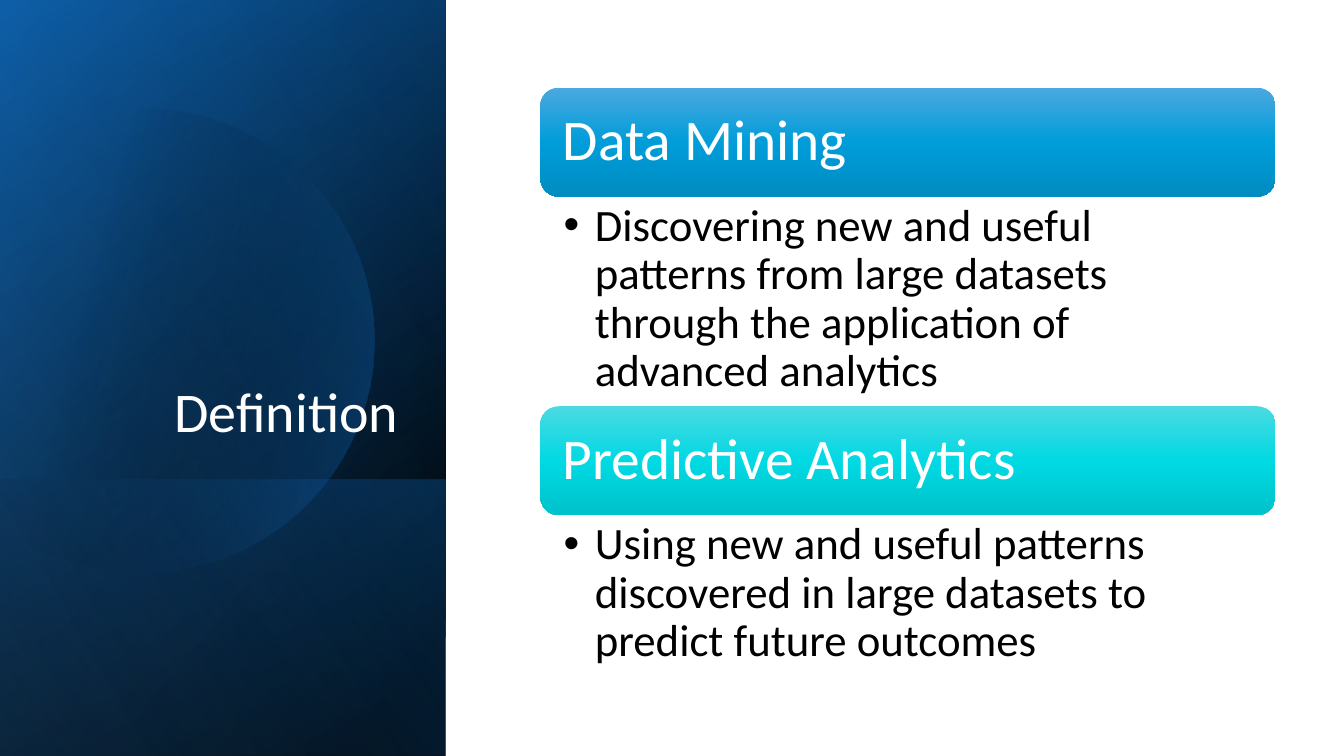
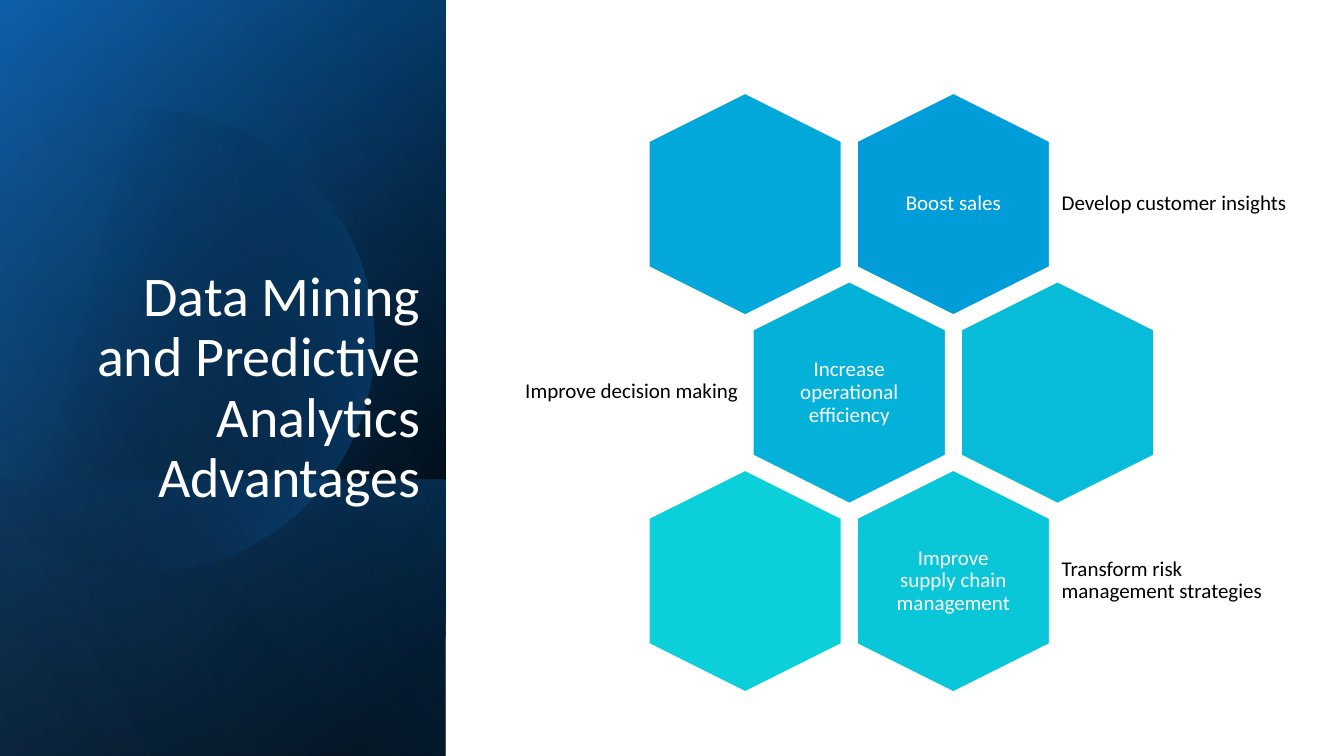
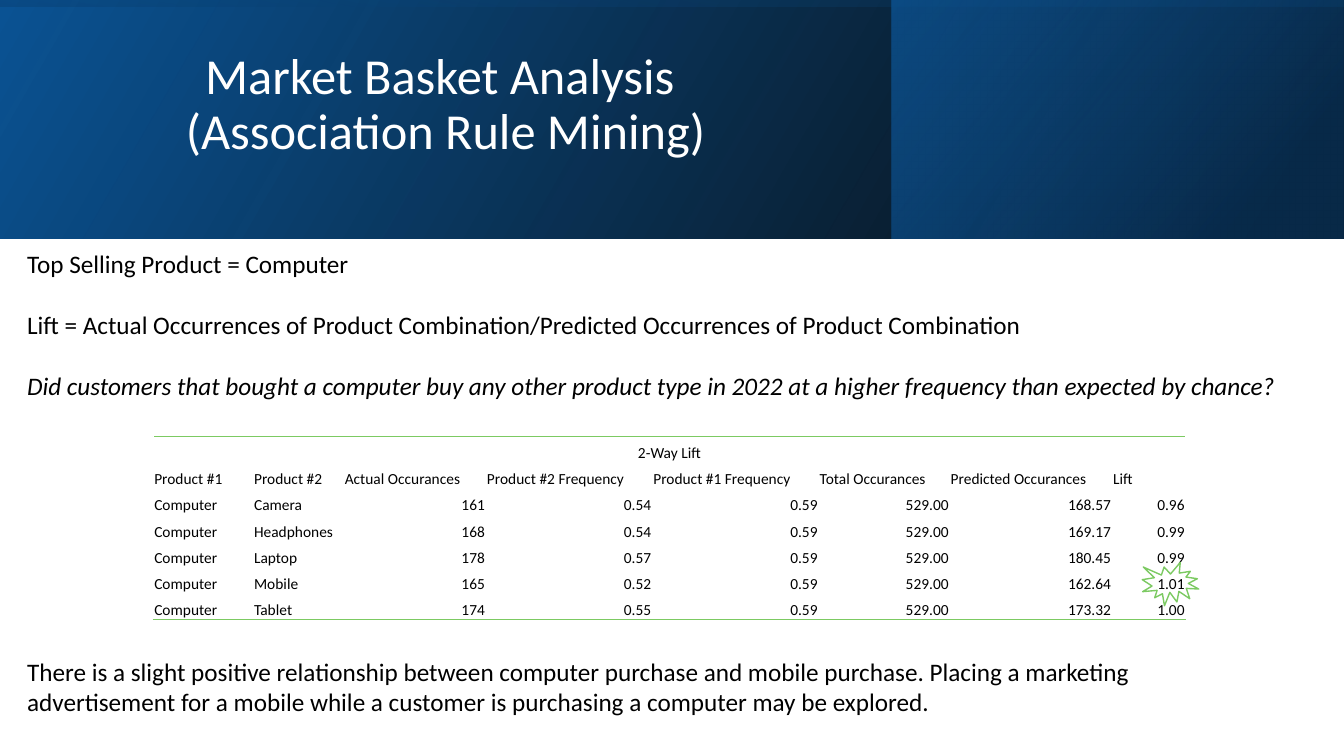
from math import cos, radians, sin

from lxml import etree
from pptx import Presentation
from pptx import util as u
from pptx.dml.color import RGBColor
from pptx.enum import shapes, text
from pptx.oxml.ns import qn

KIND = shapes.MSO_SHAPE
ALIGN = {"l": text.PP_ALIGN.LEFT, "c": text.PP_ALIGN.CENTER, "r": text.PP_ALIGN.RIGHT}
ANCHOR = {"t": text.MSO_ANCHOR.TOP, "m": text.MSO_ANCHOR.MIDDLE,
          "b": text.MSO_ANCHOR.BOTTOM}
INSET = (0.1, 0.05, 0.1, 0.05)


def color(code):
    return RGBColor.from_string(code)


def box(vals):
    return [u.Inches(v) for v in vals]


def child(parent, tag, **attrs):
    return etree.SubElement(parent, qn(tag), {k: str(v) for k, v in attrs.items()})


def shade(shape, stops, angle):
    """Fill with a linear gradient of (percent, colour, opacity percent) stops."""
    shape.fill.gradient()
    grad = shape.element.spPr.find(qn("a:gradFill"))
    for old in list(grad):
        grad.remove(old)
    grad.set("rotWithShape", "1")
    group = child(grad, "a:gsLst")
    for pos, code, *alpha in stops:
        stop = child(group, "a:gs", pos=pos * 1000)
        tint = child(stop, "a:srgbClr", val=code)
        if alpha:
            child(tint, "a:alpha", val=alpha[0] * 1000)
    child(grad, "a:lin", ang=round(angle * 60000), scaled=0)


def edge(cell, side, code):
    """Draw a one point border on the side "a:lnT" or "a:lnB" of a cell."""
    line = etree.Element(qn(side), w=str(u.Pt(1)))
    fill = child(line, "a:solidFill")
    child(fill, "a:srgbClr", val=code)
    cell._tc.get_or_add_tcPr().insert(0, line)


def write(frame, words, size=18, ink="000000", align="l", anchor="t", inset=INSET,
          lead=None, gap=0, bullet=0, slant=()):
    """Fill a frame, one paragraph a line; slant lists the italic paragraphs."""
    frame.word_wrap = True
    frame.auto_size = text.MSO_AUTO_SIZE.NONE
    frame.vertical_anchor = ANCHOR[anchor]
    (frame.margin_left, frame.margin_top,
     frame.margin_right, frame.margin_bottom) = box(inset)
    for n, line in enumerate(words.split("\n")):
        para = frame.add_paragraph() if n else frame.paragraphs[0]
        para.alignment = ALIGN[align]
        if lead:
            para.line_spacing = lead
        if n and gap:
            para.space_before = u.Pt(gap)
        if bullet:
            props = para._p.get_or_add_pPr()
            props.set("marL", str(u.Inches(bullet)))
            props.set("indent", str(u.Inches(-bullet)))
            child(props, "a:buFont", typeface="Arial")
            child(props, "a:buChar", char="•")
        run = para.add_run()
        run.text = line
        style(run.font, size, ink, n in slant)


def style(font, size, ink, italic=False):
    font.name = "Calibri"
    font.size = u.Pt(size)
    font.color.rgb = color(ink)
    if italic:
        font.italic = True


class Deck:
    BLACK, WHITE, NAVY, BLUE, GREEN = "000000", "FFFFFF", "0B5394", "0F6FC6", "7CCA62"

    def __init__(self):
        self.prs = Presentation()
        self.prs.slide_width, self.prs.slide_height = box((13.33, 7.5))

    def new(self):
        self.slide = self.prs.slides.add_slide(self.prs.slide_layouts[5])

    def title(self, words, at, **form):
        head = self.slide.shapes.title
        head.left, head.top, head.width, head.height = box(at)
        write(head.text_frame, words, ink=self.WHITE, lead=0.9, **form)
        head.element.getparent().append(head.element)

    def shape(self, kind, at, fill=None, line=None, turn=0):
        item = self.slide.shapes.add_shape(kind, *box(at))
        item.shadow.inherit = False
        item.rotation = turn
        if fill:
            item.fill.solid()
            item.fill.fore_color.rgb = color(fill)
        else:
            item.fill.background()
        if line:
            item.line.color.rgb = color(line)
            item.line.width = u.Pt(1)
        else:
            item.line.fill.background()
        return item

    def wash(self, at, turn, stops, angle):
        """Lay a mirrored rectangle with a gradient."""
        item = self.shape(KIND.RECTANGLE, at, turn=turn)
        item.element.spPr.find(qn("a:xfrm")).set("flipH", "1")
        shade(item, stops, angle)

    def text(self, words, at, **form):
        item = self.slide.shapes.add_textbox(*box(at))
        write(item.text_frame, words, **form)

    def disc(self, x, y, size, stops, angle):
        """Draw a circle cut off by the left edge of the slide."""
        arc = [box((x + size * cos(radians(a)), y + size * sin(radians(a))))
               for a in range(-132, 133, 3)]
        path = self.slide.shapes.build_freeform(*arc[0])
        path.add_line_segments(arc[1:], close=True)
        item = path.convert_to_shape()
        item.shadow.inherit = False
        item.line.fill.background()
        shade(item, stops, angle)

    def panel(self):
        """Paint the dark panel on the left."""
        full = (-1.54, 1.54, 7.5, 4.42)
        self.wash(full, 90, [(8, self.BLACK), (100, self.NAVY)], 50)
        self.wash(full, 90, [(0, self.BLACK, 0), (99, self.BLUE, 46)], 30)
        self.wash((0.84, 3.92, 2.74, 4.42), 90,
                  [(2, self.BLUE, 29), (100, self.BLACK, 30)], 130)
        self.disc(1.41, 3.38, 2.3, [(29, self.BLACK, 0), (100, self.BLUE, 43)], 13.9)
        self.wash(full, 90, [(0, self.BLACK, 0), (99, "59AAF2", 11)], 120)

    def band(self):
        """Paint the dark band across the top."""
        self.wash((0, 0, 13.33, 2.37), 0, [(0, self.BLACK, 96), (100, self.NAVY)], 330)
        self.wash((8.84, 0, 4.48, 2.37), 0,
                  [(19, "083763", 68), (100, self.BLUE, 48)], 320)
        self.wash((5.48, -5.48, 2.37, 13.33), 270,
                  [(23, self.NAVY, 16), (99, self.BLACK, 45)], 350)

    def topic(self, top, name, words, tall, tints):
        """Place a rounded heading with a bulleted text under it."""
        head = self.shape(KIND.ROUNDED_RECTANGLE, (5.36, top, 7.29, 1.08))
        shade(head, list(zip((0, 50, 100), tints)), 90)
        write(head.text_frame, name, size=41, ink=self.WHITE, anchor="m",
              inset=(0.17,) * 4, lead=0.9)
        self.text(words, (5.36, top + 1.08, 7.29, tall), size=32, lead=0.9,
                  inset=(0.23, 0.06, 0.32, 0.06), bullet=0.31)

    def hexagon(self, row, col, fill, words, note, side):
        """Place a cell of the honeycomb, with a note beside it."""
        x, y = 7.39 + 2.065 * (col + row % 2 / 2), 2.02 + 1.87 * row
        item = self.shape(KIND.HEXAGON, (x - 1.1, y - 0.95, 2.2, 1.91),
                          fill, self.WHITE, 90)
        item.adjustments[0], item.adjustments[1] = 0.25, 1.1547
        form = dict(size=15, anchor="m", inset=(0.06,) * 4, lead=0.9)
        if words:
            self.text(words, (x - 0.66, y - 0.75, 1.32, 1.51), ink=self.WHITE,
                      align="c", **form)
        if note:
            left, wide = (10.47, 2.45) if side == "l" else (5.01, 2.37)
            self.text(note, (left, y - 0.66, wide, 1.32), align=side, **form)

    def table(self, at, name, rows, wide):
        """Draw a ruled table whose first row is a merged heading."""
        count = len(wide)
        grid = self.slide.shapes.add_table(len(rows) + 1, count, *box(at)).table
        grid.first_row = grid.horz_banding = False
        for col, width in zip(grid.columns, wide):
            col.width = u.Inches(width)
        for row in grid.rows:
            row.height = u.Inches(0.26)
        for r, row in enumerate([[name] + [""] * (count - 1)] + rows):
            for c, words in enumerate(row):
                cell = grid.cell(r, c)
                cell.fill.background()
                cell.vertical_anchor = ANCHOR["b"]
                (cell.margin_left, cell.margin_top,
                 cell.margin_right, cell.margin_bottom) = box((0.01, 0.01, 0.01, 0))
                if r == 0:
                    edge(cell, "a:lnT", self.GREEN)
                if r == len(rows):
                    edge(cell, "a:lnB", self.GREEN)
                if words:
                    para = cell.text_frame.paragraphs[0]
                    para.alignment = ALIGN["c" if r == 0 else "r" if r > 1 and c > 1
                                           else "l"]
                    run = para.add_run()
                    run.text = words
                    style(run.font, 11, self.BLACK)
        grid.cell(0, 0).merge(grid.cell(0, count - 1))


def define(deck):
    deck.new()
    deck.panel()
    deck.title("Definition", (0.64, 1.84, 3.41, 2.62), size=40, align="r", anchor="b")
    deck.topic(0.87, "Data Mining",
               "Discovering new and useful patterns from large datasets through "
               "the application of advanced analytics",
               2.09, ("4BA8E0", "009DD9", "008CC1"))
    deck.topic(4.03, "Predictive Analytics",
               "Using new and useful patterns discovered in large datasets to "
               "predict future outcomes",
               1.62, ("4BDAE2", "01D9E3", "00C2CB"))


def gains(deck):
    deck.new()
    deck.panel()
    deck.title("Data Mining and Predictive Analytics Advantages",
               (0.86, 2.49, 3.41, 2.62), size=40, align="r", anchor="b")
    for cell in (
        (0, 1, "009DD9", "Boost sales", "Develop customer insights", "l"),
        (0, 0, "02A8D9", "", "", ""),
        (1, 0, "04B2D9", "Increase operational efficiency",
         "Improve decision making", "r"),
        (1, 1, "06BCD9", "", "", ""),
        (2, 1, "09C6D9", "Improve supply chain management",
         "Transform risk management strategies", "l"),
        (2, 0, "0BD0D9", "", "", ""),
    ):
        deck.hexagon(*cell)


def basket(deck):
    deck.new()
    deck.band()
    deck.title("Market Basket Analysis \n(Association Rule Mining)",
               (0.08, 0.2, 8.68, 1.7), size=36, align="c", anchor="m")
    deck.text("Top Selling Product = Computer\n"
              "Lift = Actual Occurrences of Product Combination/Predicted "
              "Occurrences of Product Combination\n"
              "Did customers that bought a computer buy any other product type in "
              "2022 at a higher frequency than expected by chance?",
              (0.17, 2.41, 12.99, 1.92), gap=22, slant=(2,))
    heads = ["Product #1", "Product #2", "Actual Occurances", "Product #2 Frequency",
             "Product #1 Frequency", "Total Occurances", "Predicted Occurances", "Lift"]
    sales = [("Camera", "161", "0.54", "168.57", "0.96"),
             ("Headphones", "168", "0.54", "169.17", "0.99"),
             ("Laptop", "178", "0.57", "180.45", "0.99"),
             ("Mobile", "165", "0.52", "162.64", "1.01"),
             ("Tablet", "174", "0.55", "173.32", "1.00")]
    rows = [["Computer", item, count, rate, "0.59", "529.00", guess, lift]
            for item, count, rate, guess, lift in sales]
    deck.table((1.52, 4.33, 10.24, 1.82), "2-Way Lift", [heads] + rows,
               (0.99, 0.9, 1.41, 1.65, 1.65, 1.3, 1.61, 0.73))
    deck.text("There is a slight positive relationship between computer purchase and "
              "mobile purchase. Placing a marketing advertisement for a mobile while "
              "a customer is purchasing a computer may be explored.",
              (0.17, 6.46, 12.42, 0.71))
    deck.shape(KIND.EXPLOSION1, (11.33, 5.58, 0.56, 0.43), line=deck.GREEN)


def main():
    deck = Deck()
    for page in (define, gains, basket):
        page(deck)
    deck.prs.save("out.pptx")


if __name__ == "__main__":
    main()
